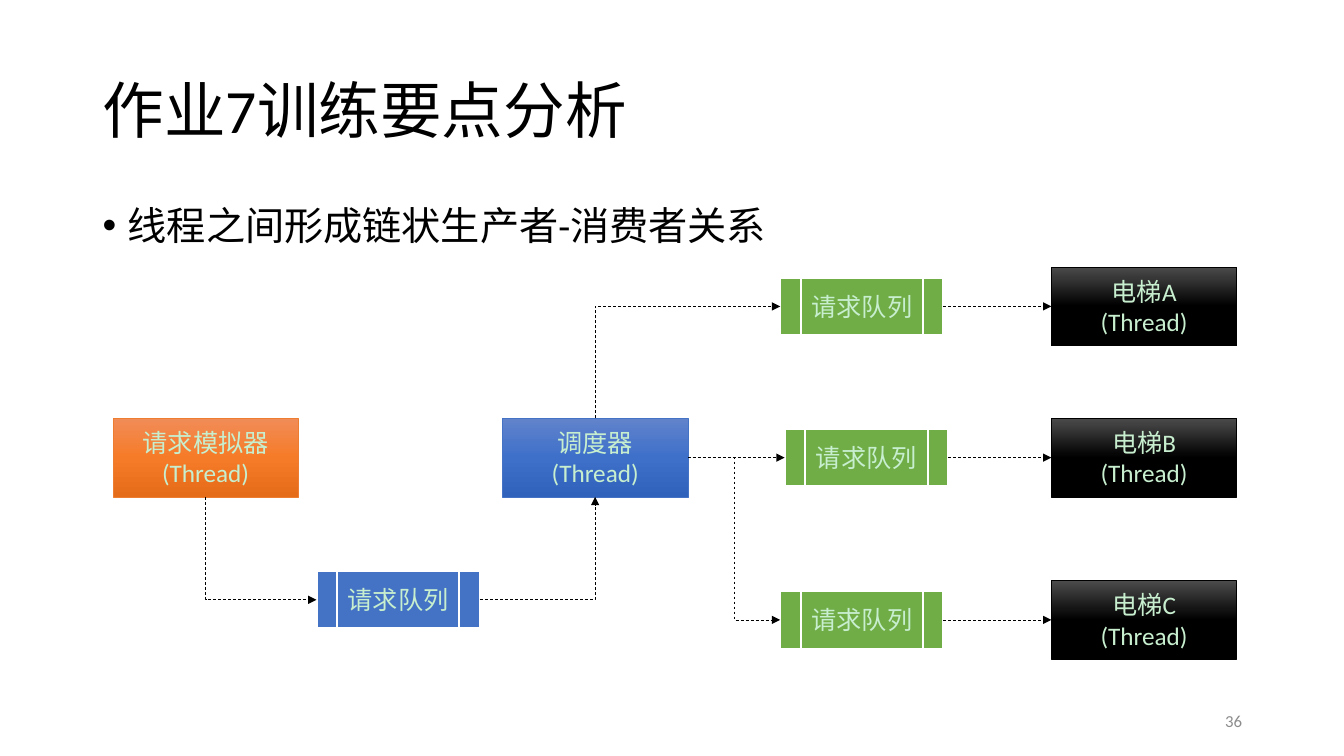
"""Build the slide on chained producer and consumer threads, on a grid of tenth-inch cells."""
import copy
from dataclasses import dataclass

import lxml.etree
import pptx
import pptx.dml.color
import pptx.enum.dml
import pptx.enum.shapes
import pptx.enum.text
import pptx.oxml.ns
import pptx.util

CELL = pptx.util.Inches(0.1)
COLUMNS, ROWS = 133.33, 75
FONT = "Calibri"
COLOURS = {
    "page": "FFFFFF", "ink": "000000", "number": "8C8C8C", "label": "C7EECE",
    "blue": "4472C4", "green": "70AD47", "orange": "ED7D31", "black": "000000",
}
GRADIENTS = {
    "blue": ("6183CB", "3E70CA", "3062BB"),
    "orange": ("F18C57", "F67B28", "E56C19"),
    "black": ("4B4B4B", "000000", "000000"),
}
TOP, LEFT, BOTTOM, RIGHT = range(4)
MIDDLE_ROW = 45.4
ALIGN = pptx.enum.text.PP_ALIGN
SHAPES = pptx.enum.shapes.MSO_SHAPE
CONNECTORS = pptx.enum.shapes.MSO_CONNECTOR


@dataclass
class Node:
    label: str
    column: float
    row: float
    colour: str
    is_queue: bool = False

    @property
    def width(self) -> float:
        return 16.2 if self.is_queue else 18.4

    @property
    def height(self) -> float:
        return 5.7 if self.is_queue else 7.8

    def site(self, side: int) -> tuple[float, float]:
        across, down = {TOP: (0, -1), LEFT: (-1, 0), BOTTOM: (0, 1), RIGHT: (1, 0)}[side]
        return self.column + across * self.width / 2, self.row + down * self.height / 2


@dataclass
class Caption:
    text: str
    left: float
    top: float
    width: float
    height: float
    size: float
    colour: str = "ink"
    align: ALIGN = ALIGN.LEFT
    middle: bool = True
    spacing: float = 0.9
    bullet: bool = False


@dataclass
class Flow:
    source: str
    source_side: int
    target: str
    target_side: int
    preset: str = "line"


def queue(column: float, row: float, colour: str) -> Node:
    return Node("请求队列", column, row, colour, True)


NODES = {
    "dispatcher": Node("调度器\n(Thread)", 59.05, MIDDLE_ROW, "blue"),
    "simulator": Node("请求模拟器\n(Thread)", 20.4, MIDDLE_ROW, "orange"),
    "input": queue(39.5, 59.5, "blue"),
}
FLOWS = [
    Flow("simulator", BOTTOM, "input", LEFT, "bentConnector2"),
    Flow("input", RIGHT, "dispatcher", BOTTOM, "bentConnector2"),
    Flow("dispatcher", TOP, "queue A", LEFT, "bentConnector2"),
    Flow("dispatcher", RIGHT, "queue B", LEFT),
    Flow("dispatcher", RIGHT, "queue C", LEFT, "bentConnector3"),
]
for letter, queue_column, lane_row in (("A", 85.5, 30.4), ("B", 85.95, MIDDLE_ROW), ("C", 85.5, 61.5)):
    NODES[f"queue {letter}"] = queue(queue_column, lane_row, "green")
    NODES[f"lift {letter}"] = Node(f"电梯{letter}\n(Thread)", 113.5, lane_row, "black")
    FLOWS.append(Flow(f"queue {letter}", RIGHT, f"lift {letter}", LEFT))

CAPTIONS = [
    Caption("作业7训练要点分析", 9.2, 4, 115, 14.5, 44),
    Caption("线程之间形成链状生产者-消费者关系", 9.2, 20, 115, 10.3, 28, middle=False, bullet=True),
    Caption("36", 94.2, 69.5, 30, 4, 12, "number", ALIGN.RIGHT, spacing=1.0),
]


def cells(*counts: float) -> list[int]:
    return [round(count * CELL) for count in counts]


def rgb(code: str) -> pptx.dml.color.RGBColor:
    return pptx.dml.color.RGBColor.from_string(code)


def add_child(parent, tag: str, **attributes: str) -> None:
    lxml.etree.SubElement(parent, pptx.oxml.ns.qn(tag), **attributes)


def style_text(frame, size: float, colour: str, align: ALIGN) -> None:
    frame.word_wrap = True
    for para in frame.paragraphs:
        para.alignment = align
        for span in para.runs:
            span.font.name = FONT
            span.font.size = pptx.util.Pt(size)
            span.font.color.rgb = rgb(COLOURS[colour])


def draw_caption(page, caption: Caption) -> None:
    box = page.shapes.add_textbox(*cells(caption.left, caption.top, caption.width, caption.height))
    frame = box.text_frame
    frame.text = caption.text
    anchors = pptx.enum.text.MSO_ANCHOR
    frame.vertical_anchor = anchors.MIDDLE if caption.middle else anchors.TOP
    style_text(frame, caption.size, caption.colour, caption.align)
    para = frame.paragraphs[0]
    para.line_spacing = caption.spacing
    if caption.bullet:
        para.space_before = pptx.util.Pt(10)
        properties = para._p.get_or_add_pPr()
        indent = pptx.util.Inches(0.25)
        properties.set("marL", str(indent))
        properties.set("indent", str(-indent))
        add_child(properties, "a:buFont", typeface="Arial")
        add_child(properties, "a:buChar", char="•")


def fill_gradient(fill, colours: tuple[str, ...]) -> None:
    fill.gradient()
    fill.gradient_angle = 270
    first = fill.gradient_stops[0]._gs
    first.addnext(copy.deepcopy(first))
    for index, (stop, colour) in enumerate(zip(fill.gradient_stops, colours)):
        stop.position = index / (len(colours) - 1)
        stop.color.rgb = rgb(colour)


def draw_node(page, node: Node):
    kind = SHAPES.FLOWCHART_PREDEFINED_PROCESS if node.is_queue else SHAPES.RECTANGLE
    box = page.shapes.add_shape(kind, *cells(
        node.column - node.width / 2, node.row - node.height / 2, node.width, node.height))
    box.shadow.inherit = False
    if node.is_queue:
        box.fill.solid()
        box.fill.fore_color.rgb = rgb(COLOURS[node.colour])
    else:
        fill_gradient(box.fill, GRADIENTS[node.colour])
    box.line.color.rgb = rgb(COLOURS["page" if node.is_queue else node.colour])
    box.line.width = pptx.util.Pt(1.5 if node.is_queue else 0.5)
    box.text_frame.text = node.label
    style_text(box.text_frame, 18, "label", ALIGN.CENTER)
    return box


def draw_flow(page, flow: Flow, boxes: dict) -> None:
    start = NODES[flow.source].site(flow.source_side)
    end = NODES[flow.target].site(flow.target_side)
    straight = flow.preset == "line"
    turned = not straight and flow.source_side in (TOP, BOTTOM)
    downward = end[1] > start[1]
    if turned:
        middle_x, middle_y = (start[0] + end[0]) / 2, (start[1] + end[1]) / 2
        half_x = abs(end[1] - start[1]) / 2
        half_y = abs(end[0] - start[0]) / 2 * (1 if downward else -1)
        start, end = (middle_x + half_x, middle_y - half_y), (middle_x - half_x, middle_y + half_y)
    kind = CONNECTORS.STRAIGHT if straight else CONNECTORS.ELBOW
    arrow = page.shapes.add_connector(kind, *cells(*start, *end))
    properties = arrow._element.spPr
    if straight:
        arrow.begin_connect(boxes[flow.source], flow.source_side)
        arrow.end_connect(boxes[flow.target], flow.target_side)
    else:
        properties.find(pptx.oxml.ns.qn("a:prstGeom")).set("prst", flow.preset)
    if turned:
        properties.find(pptx.oxml.ns.qn("a:xfrm")).set("rot", str((270 if downward else 90) * 60000))
    arrow.line.color.rgb = rgb(COLOURS["ink"])
    arrow.line.width = pptx.util.Pt(0.5)
    arrow.line.dash_style = pptx.enum.dml.MSO_LINE.DASH
    add_child(properties.find(pptx.oxml.ns.qn("a:ln")), "a:tailEnd", type="triangle")
    add_child(properties, "a:effectLst")


def main() -> None:
    deck = pptx.Presentation()
    deck.slide_width, deck.slide_height = cells(COLUMNS, ROWS)
    page = deck.slides.add_slide(deck.slide_layouts[6])
    page.background.fill.solid()
    page.background.fill.fore_color.rgb = rgb(COLOURS["page"])
    for caption in CAPTIONS:
        draw_caption(page, caption)
    boxes = {name: draw_node(page, node) for name, node in NODES.items()}
    for flow in FLOWS:
        draw_flow(page, flow, boxes)
    deck.save("out.pptx")


if __name__ == "__main__":
    main()
